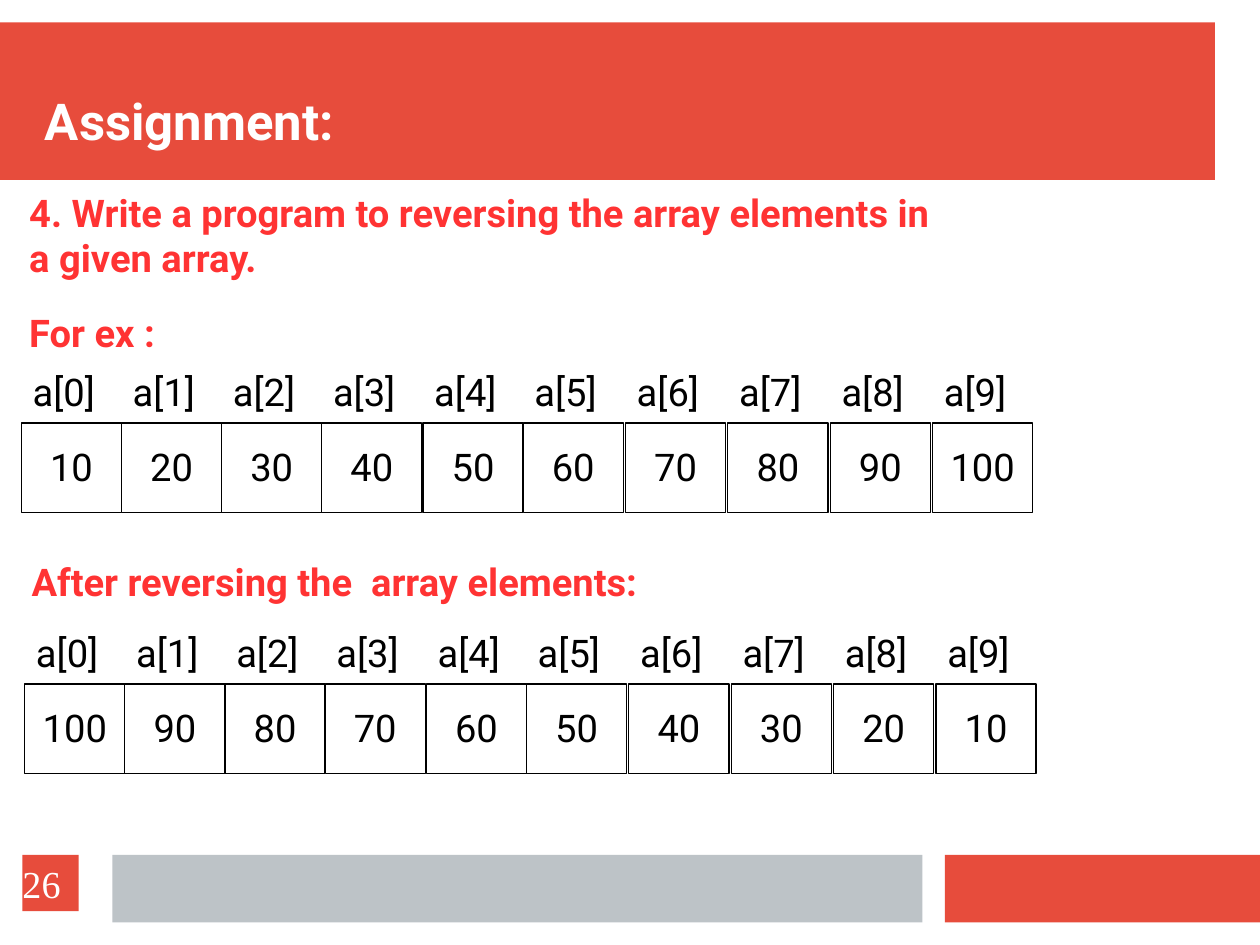
import pptx
import pptx.dml.color
import pptx.enum.shapes
import pptx.enum.text
import pptx.util

PX = 9000  # EMU in one px, 4 px to the millimetre
SLIDE_WIDTH, SLIDE_HEIGHT = 1120, 840
RED, GREY, WHITE, BLACK, BRIGHT_RED = "E74C3C", "BDC3C7", "FFFFFF", "000000", "FF3333"
CELL_OFFSETS = (0, 89, 178, 267, 357, 446, 537, 628, 719, 810)
CELL_WIDTH = 89
LABEL_HEIGHT = 51
TEXT_INSETS = (10, 5)
ANCHOR = pptx.enum.text.MSO_ANCHOR
ALIGN = pptx.enum.text.PP_ALIGN


def px(length):
    return pptx.util.Emu(length * PX)


def color(hex_string):
    return pptx.dml.color.RGBColor.from_string(hex_string)


def write(shape, text, text_color, size=24, font="Roboto", bold=False, spacing=0.97,
          align=ALIGN.LEFT, anchor=ANCHOR.TOP, insets=TEXT_INSETS):
    frame = shape.text_frame
    frame.text = text
    frame.word_wrap = True
    frame.vertical_anchor = anchor
    frame.margin_left = frame.margin_right = px(insets[0])
    frame.margin_top = frame.margin_bottom = px(insets[1])
    for paragraph in frame.paragraphs:
        paragraph.alignment = align
        paragraph.line_spacing = spacing
        for run in paragraph.runs:
            run.font.name = font
            run.font.size = pptx.util.Pt(size)
            run.font.bold = bold
            run.font.color.rgb = color(text_color)


def add_text(slide, box, text, text_color, **style):
    write(slide.shapes.add_textbox(*map(px, box)), text, text_color, **style)


def add_box(slide, box, fill, line=None):
    """Add a flat rectangle, outlined only if a line colour is given."""
    shape = slide.shapes.add_shape(pptx.enum.shapes.MSO_SHAPE.RECTANGLE, *map(px, box))
    shape.shadow.inherit = False
    shape.fill.solid()
    shape.fill.fore_color.rgb = color(fill)
    if line:
        shape.line.color.rgb = color(line)
        shape.line.width = pptx.util.Pt(0.75)
    else:
        shape.line.fill.background()
    return shape


def add_header(slide, box, title):
    left, top, width, height = box
    add_box(slide, box, RED)
    add_text(slide, (left + 40, top + 20, width - 45, height - 45), title, WHITE,
             size=32, bold=True, anchor=ANCHOR.BOTTOM, insets=(0, 0))


def add_array(slide, box, values):
    """Draw a row of cells with an index label above each one."""
    left, top, _, height = box
    for index, (offset, value) in enumerate(zip(CELL_OFFSETS, values)):
        cell_left = left + offset
        cell = add_box(slide, (cell_left, top + LABEL_HEIGHT, CELL_WIDTH, height - LABEL_HEIGHT),
                       WHITE, BLACK)
        write(cell, str(value), BLACK, align=ALIGN.CENTER, anchor=ANCHOR.MIDDLE)
        add_text(slide, (cell_left, top, CELL_WIDTH, LABEL_HEIGHT), f"a[{index}]", BLACK)


def add_footer(slide, box, page_number):
    left, top, width, height = box
    add_box(slide, (left + 100, top, 720, height), GREY)
    add_box(slide, (left + 840, top, width - 840, height), RED)
    page = add_box(slide, (left + 20, top, 50, 50), RED)
    write(page, page_number, WHITE, font="Times New Roman", spacing=1.0,
          anchor=ANCHOR.MIDDLE, insets=(0, 0))


def main():
    presentation = pptx.Presentation()
    presentation.slide_width = px(SLIDE_WIDTH)
    presentation.slide_height = px(SLIDE_HEIGHT)
    slide = presentation.slides.add_slide(presentation.slide_layouts[6])

    add_header(slide, (0, 20, 1080, 140), "Assignment:")
    for box, text in (
        ((16, 166, 1014, 90),
         "4. Write a program to reversing the array elements in\na given array."),
        ((16, 272, 176, 51), "For ex :"),
        ((18, 494, 723, 51), "After reversing the  array elements:"),
    ):
        add_text(slide, box, text, BRIGHT_RED, bold=True)

    values = range(10, 101, 10)
    add_array(slide, (19, 325, 899, 131), values)
    add_array(slide, (22, 557, 899, 131), reversed(values))
    add_footer(slide, (0, 760, SLIDE_WIDTH, 60), "26")
    presentation.save("out.pptx")


if __name__ == "__main__":
    main()
